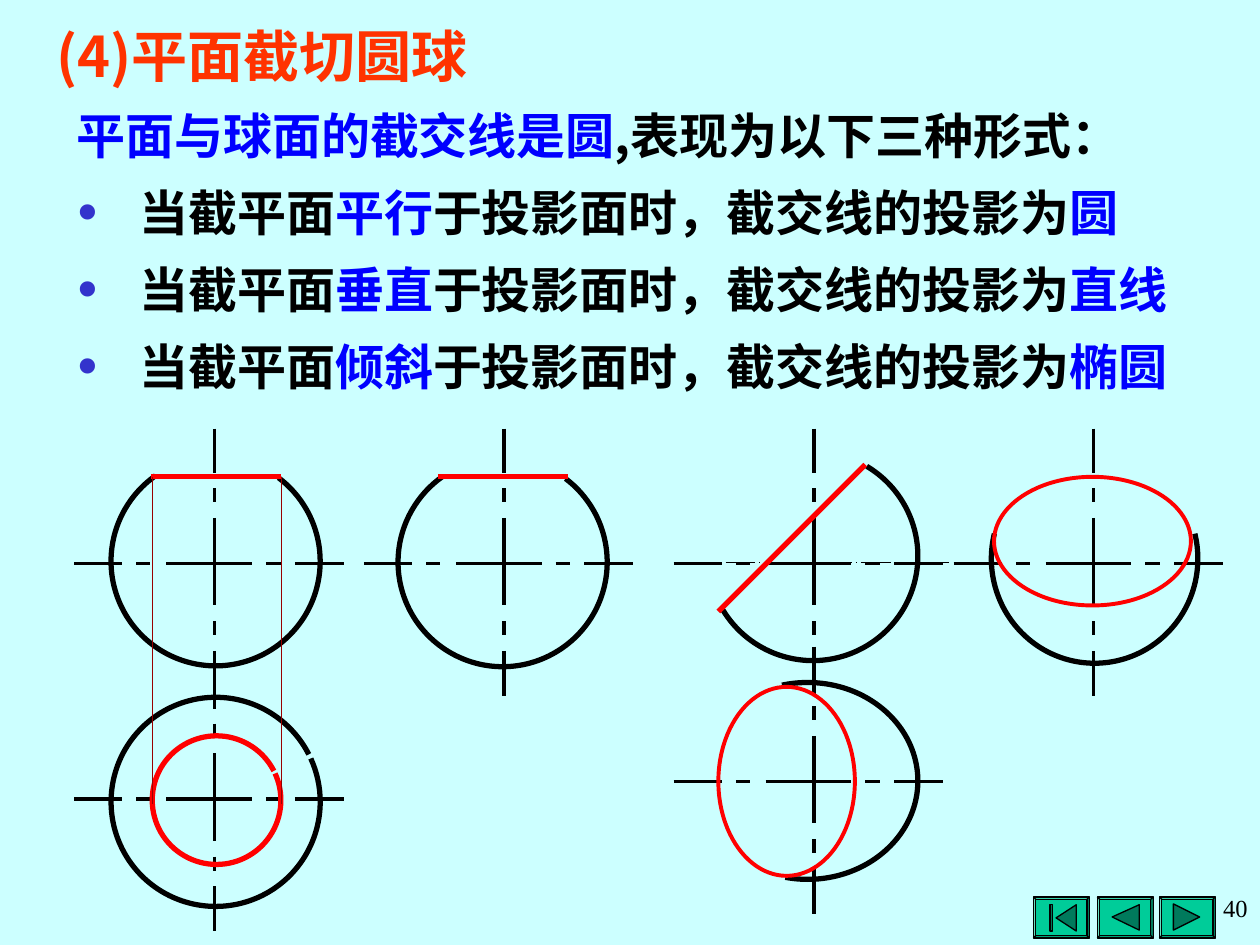
from lxml import etree
from pptx import Presentation
from pptx.dml.color import RGBColor
from pptx.enum.dml import MSO_LINE_DASH_STYLE as Dash
from pptx.enum.shapes import MSO_CONNECTOR as Connector, MSO_SHAPE as Preset
from pptx.enum.text import MSO_ANCHOR as Anchor, MSO_AUTO_SIZE as AutoSize, PP_ALIGN as Align
from pptx.oxml.ns import qn
from pptx.util import Pt

BLACK, RED, BLUE, MAROON = "000000", "FF0000", "0000FF", "990000"
CJK_FONT = "Noto Sans CJK SC"
HORIZONTAL_DASHES = ((0, 27.5), (35.5, 43.5), (52.5, 101.5), (109.5, 118), (126, 154))
VERTICAL_DASHES = ((0, 25.5), (34, 42), (51, 101), (110, 118), (127, 152.5))
CASES = (("平行", "圆"), ("垂直", "直线"), ("倾斜", "椭圆"))


def color(hex_string):
    """Turn a hex string into a colour."""
    return RGBColor.from_string(hex_string)


def add_run(paragraph, text, size, hex_string, font_name=CJK_FONT, bold=True):
    """Add one formatted run."""
    run = paragraph.add_run()
    run.text = text
    font = run.font
    font.name, font.size, font.bold = font_name, Pt(size), bold
    font.color.rgb = color(hex_string)
    east_asian = etree.SubElement(font._element, qn("a:ea"))
    east_asian.set("typeface", font_name)


def set_bullet(paragraph, bulleted):
    """Give a paragraph its hanging indent and its bullet, if any."""
    properties = paragraph._p.get_or_add_pPr()
    hang = Pt(36) if bulleted else 0
    properties.set("marL", str(hang))
    properties.set("indent", str(-hang))
    if not bulleted:
        etree.SubElement(properties, qn("a:buNone"))
        return
    bullet_color = etree.SubElement(properties, qn("a:buClr"))
    etree.SubElement(bullet_color, qn("a:srgbClr")).set("val", "3333CC")
    etree.SubElement(properties, qn("a:buSzPct")).set("val", "130000")
    etree.SubElement(properties, qn("a:buFont")).set("typeface", "Times New Roman")
    etree.SubElement(properties, qn("a:buChar")).set("char", "•")


def place(shape, left, top, width, height):
    """Move and size a shape."""
    shape.left, shape.top = Pt(left), Pt(top)
    shape.width, shape.height = Pt(width), Pt(height)


def add_line(slide, start, end, hex_string=BLACK, width=0.0):
    """Draw a straight line without a shadow."""
    points = [Pt(value) for value in (*start, *end)]
    line = slide.shapes.add_connector(Connector.STRAIGHT, *points)
    line.line.color.rgb = color(hex_string)
    line.line.width = Pt(width)
    etree.SubElement(line._element.spPr, qn("a:effectLst"))
    return line


def add_curve(slide, preset, box, hex_string=BLACK, width=3.0, angles=()):
    """Draw an unfilled ellipse, or an arc clockwise between two angles."""
    curve = slide.shapes.add_shape(preset, *[Pt(value) for value in box])
    curve.shadow.inherit = False
    curve.fill.background()
    curve.line.color.rgb = color(hex_string)
    curve.line.width = Pt(width)
    for index, angle in enumerate(angles):
        curve.adjustments[index] = angle * 0.6


def add_center_lines(slide, x, y):
    """Draw the two broken centre lines of a view."""
    for start, end in HORIZONTAL_DASHES:
        add_line(slide, (x - 80 + start, y), (x - 80 + end, y))
    for start, end in VERTICAL_DASHES:
        add_line(slide, (x, y - 77 + start), (x, y - 77 + end))


def add_title(slide, left, top, width, height):
    """Fill the title."""
    title = slide.shapes.title
    place(title, left, top, width, height)
    frame = title.text_frame
    frame.auto_size, frame.vertical_anchor = AutoSize.NONE, Anchor.MIDDLE
    paragraph = frame.paragraphs[0]
    paragraph.alignment = Align.LEFT
    add_run(paragraph, "(4)平面截切圆球", 32, "FF3300")


def add_body(slide, left, top, width, height):
    """Fill the list of the three section forms."""
    body = slide.placeholders[1]
    place(body, left, top, width, height)
    frame = body.text_frame
    frame.auto_size = AutoSize.NONE
    lines = [(("平面与球面的截交线是圆", BLUE), (",表现为以下三种形式：", BLACK))]
    for position, result in CASES:
        lines.append((("当截平面", BLACK), (position, BLUE),
                      ("于投影面时，截交线的投影为", BLACK), (result, BLUE)))
    for index, runs in enumerate(lines):
        paragraph = frame.add_paragraph() if index else frame.paragraphs[0]
        set_bullet(paragraph, index > 0)
        paragraph.line_spacing = Pt(33.5)
        paragraph.space_before = Pt(10.5 if index else 0)
        for text, hex_string in runs:
            add_run(paragraph, text, 28, hex_string)


def add_parallel_cut(slide, left, top):
    """Draw three views of a ball cut by a horizontal plane."""
    for x, y in ((80, 77), (245.5, 77), (80, 211.5)):
        add_center_lines(slide, left + x, top + y)
    for x, y, size, hex_string, angles in (
            (21, 16, 119.5, BLACK, (307, 235)),
            (185, 16.5, 119.5, BLACK, (307, 235)),
            (21, 153.5, 119.5, BLACK, (335.5, 333)),
            (44.5, 175.5, 73.5, RED, (335.5, 333))):
        add_curve(slide, Preset.ARC, (left + x, top + y, size, size), hex_string, angles=angles)
    cut = top + 27.5
    for x in (44, 208):
        add_line(slide, (left + x, cut), (left + x + 74, cut), RED, 3)
    for x in (44.5, 118.5):
        add_line(slide, (left + x, cut), (left + x, top + 214.5), MAROON, 0.75)


def add_inclined_cut(slide, left, top):
    """Draw three views of a ball cut by an inclined plane."""
    for x, y in ((80, 77), (240, 77), (80, 201.5)):
        add_center_lines(slide, left + x, top + y)
    axis = add_line(slide, (left + 7.5, top + 76.5), (left + 158, top + 76.5), width=0.75)
    axis.line.dash_style = Dash.LONG_DASH_DOT
    for x, y, width, height, angles in (
            (19.5, 13, 120, 119.5, (301, 149)),
            (181.5, 14.5, 118, 119.5, (346, 194)),
            (13.5, 145, 126, 112.5, (255, 103))):
        add_curve(slide, Preset.ARC, (left + x, top + y, width, height), angles=angles)
    add_line(slide, (left + 25.5, top + 104.5), (left + 109.5, top + 20.5), RED, 3)
    for x, y, width, height in ((183, 27.5, 112.5, 73.5), (25.5, 147.5, 78, 108)):
        add_curve(slide, Preset.OVAL, (left + x, top + y, width, height), RED, 2.25)


def style_button_part(shape, hex_string):
    """Fill and outline a part of a button."""
    shape.shadow.inherit = False
    shape.fill.solid()
    shape.fill.fore_color.rgb = color(hex_string)
    shape.line.color.rgb = color(BLACK)
    shape.line.width = Pt(0.75)


def add_button(slide, left, top, width, height, symbols):
    """Draw a bevelled button with its symbols."""
    button = slide.shapes.add_shape(Preset.BEVEL, Pt(left), Pt(top), Pt(width), Pt(height))
    button.adjustments[0] = 0.06
    style_button_part(button, "00CC99")
    for symbol in symbols:
        points = [(Pt(left + x), Pt(top + y)) for x, y in symbol]
        builder = slide.shapes.build_freeform(*points[0])
        builder.add_line_segments(points[1:], close=True)
        style_button_part(builder.convert_to_shape(), "007A5C")


def add_navigation(slide, left, top):
    """Draw the first, previous and next buttons."""
    first = ([(13, 12), (24.5, 4.5), (24.5, 19.5)],
             [(9.5, 4.5), (11, 4.5), (11, 19.5), (9.5, 19.5)])
    previous = ([(8.5, 11.5), (24, 4.5), (24, 19)],)
    following = ([(8, 4), (23, 11.5), (8, 19)],)
    for x, symbols in ((0, first), (36.5, previous), (72, following)):
        add_button(slide, left + x, top, 32, 23.5, symbols)


def add_page_number(slide, left, top, width, height):
    """Write the page number."""
    box = slide.shapes.add_textbox(Pt(left), Pt(top), Pt(width), Pt(height))
    box.text_frame.word_wrap = True
    paragraph = box.text_frame.paragraphs[0]
    paragraph.alignment = Align.RIGHT
    add_run(paragraph, "40", 14, BLACK, "Times New Roman", False)


def main():
    """Build the slide and save it."""
    presentation = Presentation()
    presentation.slide_width, presentation.slide_height = Pt(720), Pt(540)
    slide = presentation.slides.add_slide(presentation.slide_layouts[1])
    slide.background.fill.solid()
    slide.background.fill.fore_color.rgb = color("CCFFFF")
    add_title(slide, 25, 8.5, 470, 46)
    add_body(slide, 36.5, 57, 647, 173.5)
    add_parallel_cut(slide, 42.5, 245)
    add_inclined_cut(slide, 385, 245)
    add_navigation(slide, 590.5, 512.5)
    add_page_number(slide, 538.5, 507, 181.5, 30)
    presentation.save("out.pptx")


if __name__ == "__main__":
    main()
